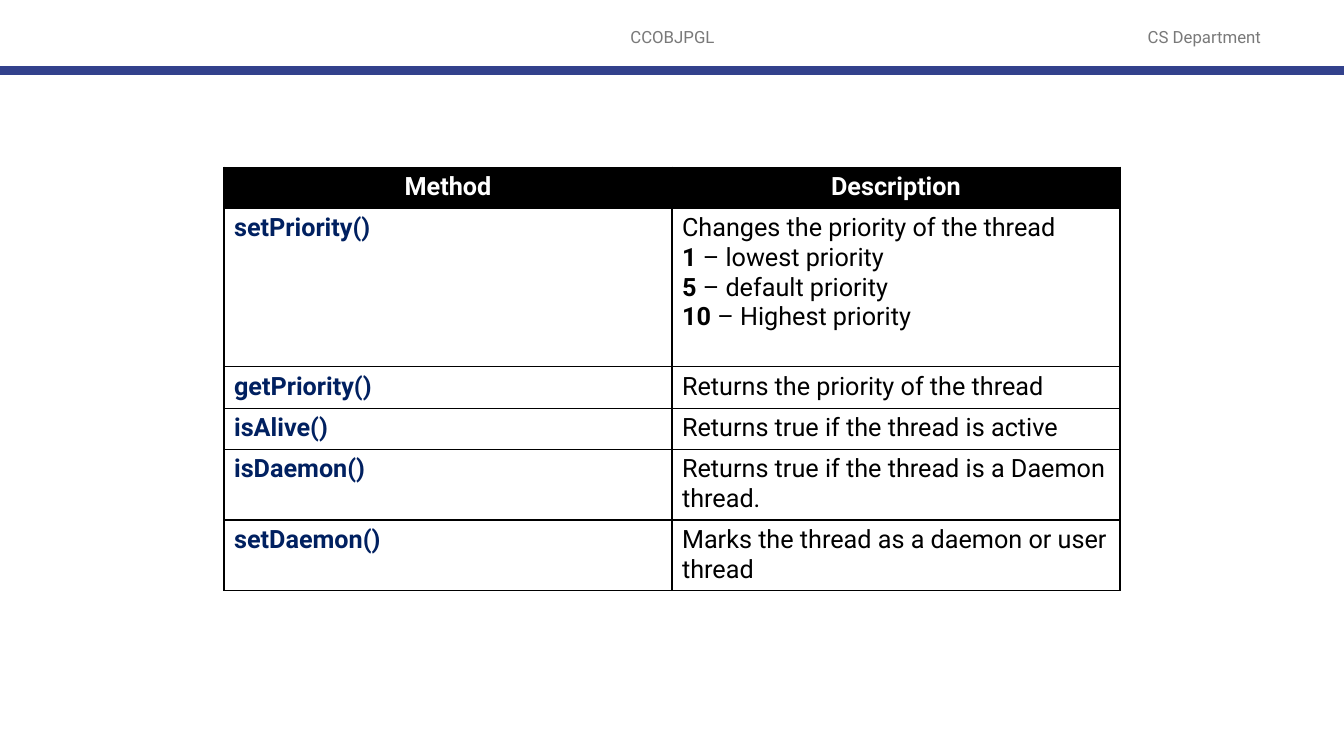
import pptx
import pptx.util
import pptx.dml.color
import pptx.enum.text
import pptx.enum.shapes
import pptx.oxml
import pptx.oxml.ns

Inches = pptx.util.Inches
Color = pptx.dml.color.RGBColor.from_string
Align = pptx.enum.text.PP_ALIGN
Anchor = pptx.enum.text.MSO_ANCHOR

theme = {
    "font": "Roboto", "small": 12, "body": 18, "rule": 6, "edge": 1,
    "gray": "797979", "bar": "32418C", "black": "000000",
    "white": "FFFFFF", "navy": "002060",
}


def write(frame, lines, size="body", color="black", align=Align.LEFT):
    frame.word_wrap = True
    for i, line in enumerate(lines):
        para = frame.paragraphs[0] if i == 0 else frame.add_paragraph()
        para.alignment = align
        for text, bold in zip(line, (True, False)):
            if text:
                run = para.add_run()
                run.text = text
                run.font.name = theme["font"]
                run.font.size = pptx.util.Pt(theme[size])
                run.font.bold = bold
                run.font.color.rgb = Color(theme[color])


deck = pptx.Presentation()
deck.slide_width, deck.slide_height = Inches(13.33), Inches(7.5)
slide = deck.slides.add_slide(deck.slide_layouts[6])
wide = deck.slide_width

for label, left, width in (("CCOBJPGL", 4.42, 4.5), ("CS Department", 10.92, 2.05)):
    box = slide.shapes.add_textbox(Inches(left), Inches(0.17), Inches(width), Inches(0.4))
    box.text_frame.vertical_anchor = Anchor.MIDDLE
    write(box.text_frame, [("", label)], size="small", color="gray", align=Align.CENTER)

rule = slide.shapes.add_connector(
    pptx.enum.shapes.MSO_CONNECTOR.STRAIGHT, 0, Inches(0.7), wide, Inches(0.7))
rule.line.color.rgb = Color(theme["bar"])
rule.line.width = pptx.util.Pt(theme["rule"])
rule._element.spPr.append(pptx.oxml.parse_xml(
    f'<a:effectLst {pptx.oxml.ns.nsdecls("a")}/>'))

rows = [
    (0.41, "Method", [("Description",)]),
    (1.57, "setPriority()", [
        ("", "Changes the priority of the thread"),
        ("1 ", "– lowest priority"),
        ("5", " – default priority"),
        ("10 ", "– Highest priority"),
    ]),
    (0.41, "getPriority()", [("", "Returns the priority of the thread")]),
    (0.41, "isAlive()", [("", "Returns true if the thread is active")]),
    (0.69, "isDaemon()", [("", "Returns true if the thread is a Daemon thread.")]),
    (0.69, "setDaemon()", [("", "Marks the thread as a daemon or user thread")]),
]

span = wide * 2 // 3
table = slide.shapes.add_table(
    len(rows), 2, (wide - span) // 2, Inches(1.66), span,
    Inches(sum(row[0] for row in rows))).table
for col in table.columns:
    col.width = span // 2

for r, (high, name, about) in enumerate(rows):
    table.rows[r].height = Inches(high)
    head = r == 0
    for c, lines in enumerate(([(name,)], about)):
        cell = table.cell(r, c)
        props = cell._tc.get_or_add_tcPr()
        for side in "LRTB":
            props.append(pptx.oxml.parse_xml(
                f'<a:ln{side} {pptx.oxml.ns.nsdecls("a")} w="{pptx.util.Pt(theme["edge"])}">'
                f'<a:solidFill><a:srgbClr val="{theme["black"]}"/></a:solidFill></a:ln{side}>'))
        cell.fill.solid()
        cell.fill.fore_color.rgb = Color(theme["black" if head else "white"])
        color = "white" if head else ("navy", "black")[c]
        write(cell.text_frame, lines, color=color,
              align=Align.CENTER if head else Align.LEFT)

deck.save("out.pptx")
